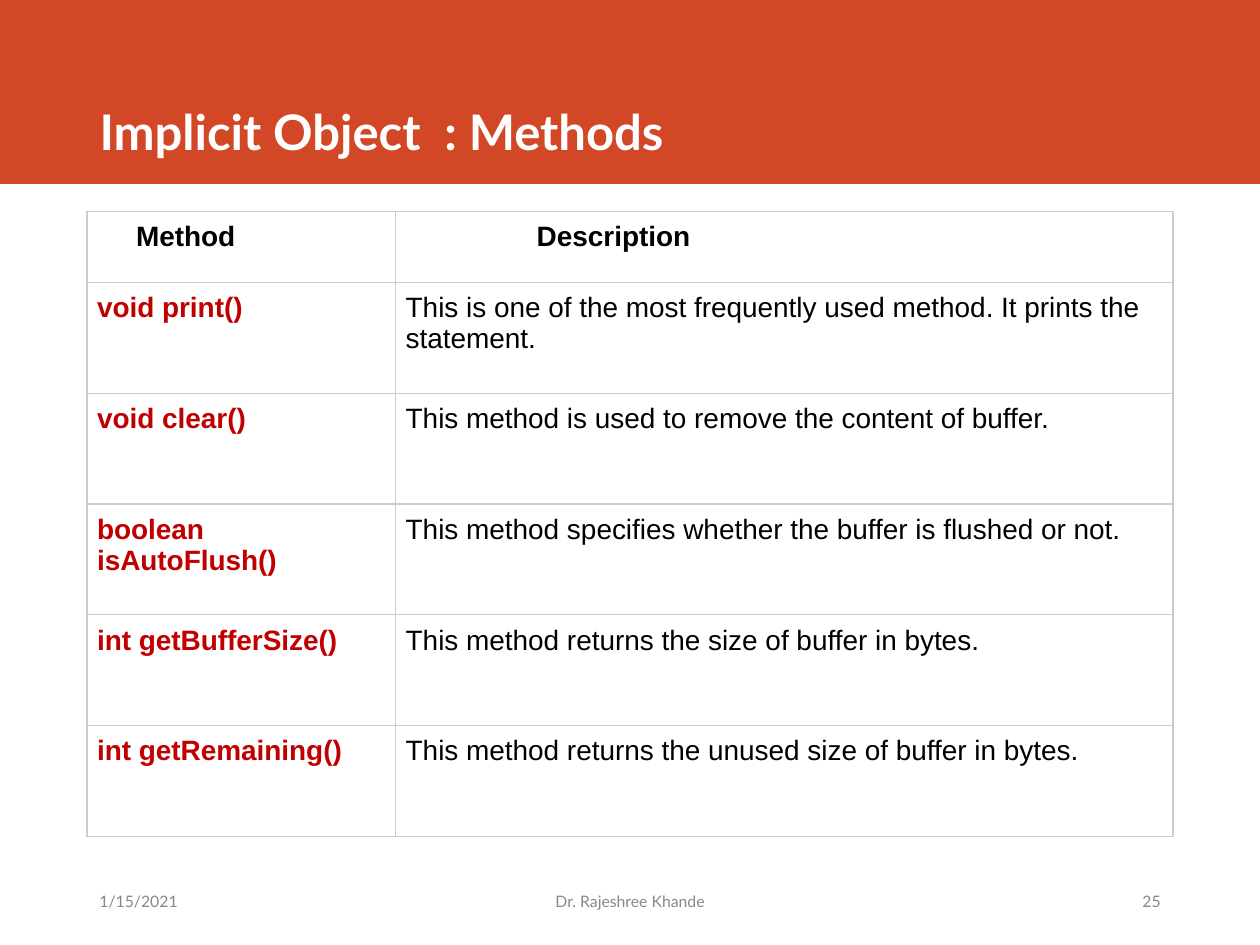
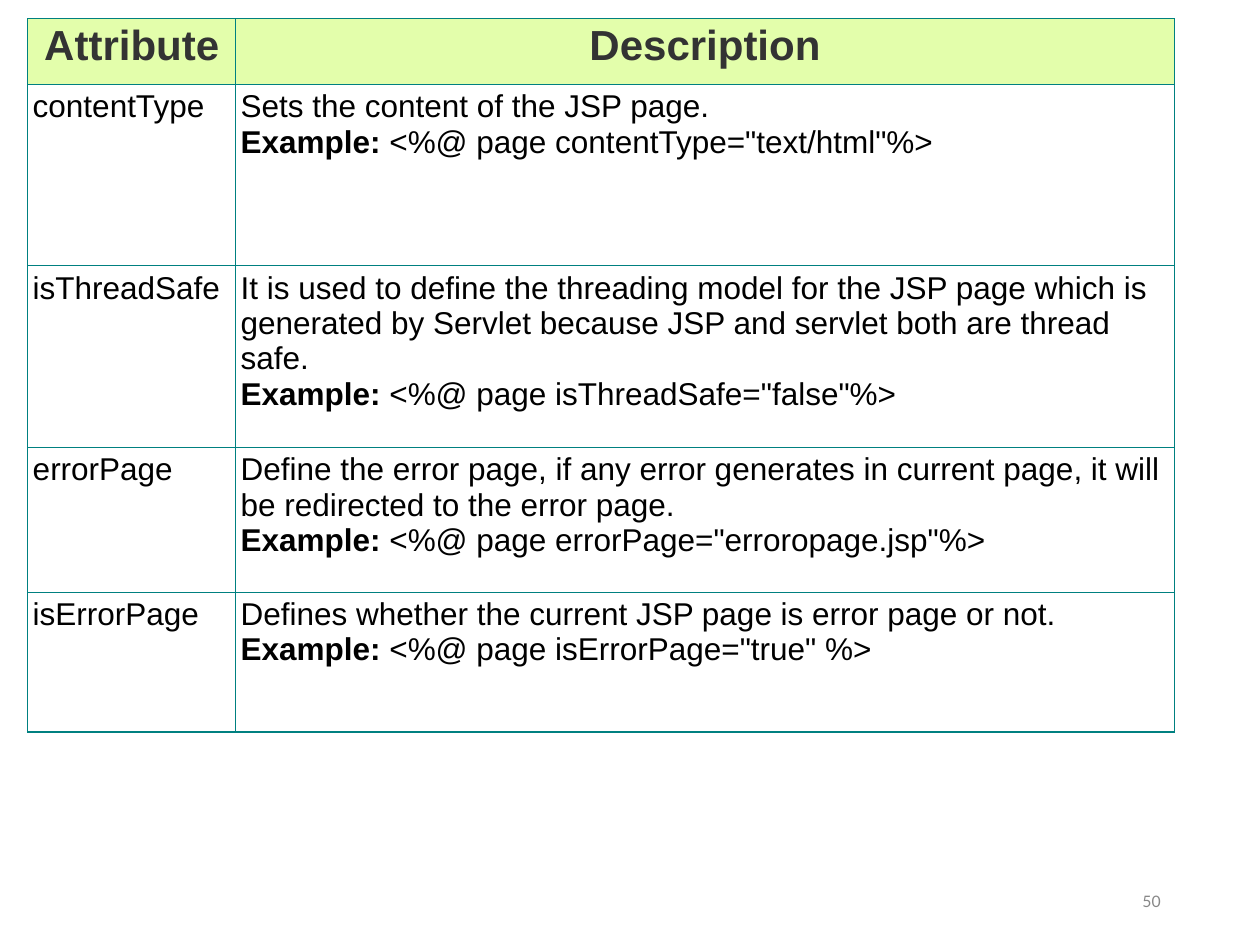
from lxml.etree import SubElement
from pptx import Presentation
from pptx.dml.color import RGBColor
from pptx.enum.shapes import MSO_SHAPE
from pptx.enum.text import MSO_ANCHOR, MSO_AUTO_SIZE, PP_ALIGN
from pptx.oxml import parse_xml
from pptx.oxml.ns import nsdecls, qn
from pptx.util import Inches, Pt

# Shared colours and text styles
WHITE, BLACK, ORANGE = "FFFFFF", "000000", "D24726"
TITLE = {"name": "Lato", "size": Pt(28), "bold": True, "color": WHITE}
FOOTER = {"name": "Lato", "size": Pt(9), "bold": False, "color": "888888"}
PLAIN = {"name": "Arial", "size": Pt(16), "bold": False, "color": BLACK}
STRONG = PLAIN | {"bold": True}
METHOD = STRONG | {"color": "C00000"}
LARGE = PLAIN | {"size": Pt(18)}
HEAD = STRONG | {"size": Pt(24), "color": "333333"}

# Footer slots: left, width, alignment
DATE = (0.69, 2.69, PP_ALIGN.LEFT)
AUTHOR = (3.81, 2.38, PP_ALIGN.CENTER)
NUMBER = (6.62, 2.69, PP_ALIGN.RIGHT)

METHODS = [
    ("void print()", "This is one of the most frequently used method. "
                     "It prints the statement."),
    ("void clear()", "This method is used to remove the content of buffer."),
    ("boolean isAutoFlush()",
     "This method specifies whether the buffer is flushed or not."),
    ("int getBufferSize()", "This method returns the size of buffer in bytes."),
    ("int getRemaining()",
     "This method returns the unused size of buffer in bytes."),
]
# Name, description, example
PAGE_ATTRS = [
    ("contentType", "Sets the content of the JSP page.",
     '<%@ page contentType="text/html"%>'),
    ("isThreadSafe", "It is used to define the threading model for the JSP page "
     "which is generated by Servlet because JSP and servlet both are thread safe.",
     '<%@ page isThreadSafe="false"%>'),
    ("errorPage", "Define the error page, if any error generates in current page, "
     "it will be redirected to the error page.",
     '<%@ page errorPage="erroropage.jsp"%>'),
    ("isErrorPage", "Defines whether the current JSP page is error page or not.",
     '<%@ page isErrorPage="true" %>'),
]


def tint(code):
    return RGBColor.from_string(code)


def style(font, look):
    for key, value in look.items():
        if key == "color":
            font.color.rgb = tint(value)
        else:
            setattr(font, key, value)


def write(para, text, look):
    run = para.add_run()
    run.text = text
    style(run.font, look)


def place(shape, left, top, width, height):
    for key, value in zip(("left", "top", "width", "height"),
                          (left, top, width, height)):
        setattr(shape, key, Inches(value))


def add_band(slide):
    band = slide.shapes.add_shape(MSO_SHAPE.RECTANGLE, 0, 0,
                                  Inches(10), Inches(1.46))
    band.shadow.inherit = False
    band.fill.solid()
    band.fill.fore_color.rgb = tint(ORANGE)
    band.line.fill.background()
    # Send the band behind the title
    slide.shapes._spTree.insert(2, band._element)


def add_title(slide, text):
    title = slide.shapes.title
    place(title, 0.69, 0, 8.63, 1.32)
    frame = title.text_frame
    frame.auto_size = MSO_AUTO_SIZE.NONE
    frame.vertical_anchor = MSO_ANCHOR.BOTTOM
    para = frame.paragraphs[0]
    para.alignment = PP_ALIGN.LEFT
    write(para, text, TITLE)


def add_footer(slide, text, slot):
    left, width, align = slot
    box = slide.shapes.add_textbox(Inches(left), Inches(6.95),
                                   Inches(width), Inches(0.4))
    frame = box.text_frame
    frame.word_wrap = True
    frame.vertical_anchor = MSO_ANCHOR.MIDDLE
    para = frame.paragraphs[0]
    para.alignment = align
    write(para, text, FOOTER)


def add_border(cell, code):
    props = cell._tc.get_or_add_tcPr()
    for spot, side in enumerate(("lnL", "lnR", "lnT", "lnB")):
        line = parse_xml(f'<a:{side} {nsdecls("a")} w="{Pt(0.75)}"/>')
        fill = SubElement(line, qn("a:solidFill"))
        SubElement(fill, qn("a:srgbClr"), val=code)
        props.insert(spot, line)


def add_grid(slide, left, top, cols, rows, edge):
    frame = slide.shapes.add_table(
        len(rows), len(cols), Inches(left), Inches(top),
        Inches(sum(cols)), Inches(sum(rows)))
    grid = frame.table
    grid.first_row = grid.horz_banding = False
    for col, width in zip(grid.columns, cols):
        col.width = Inches(width)
    for row, height in zip(grid.rows, rows):
        row.height = Inches(height)
    for cell in grid.iter_cells():
        add_border(cell, edge)
    return grid


def fill_cell(cell, text, look, inset, fill=WHITE, align=PP_ALIGN.LEFT):
    cell.fill.solid()
    cell.fill.fore_color.rgb = tint(fill)
    for side in ("left", "top", "right", "bottom"):
        setattr(cell, f"margin_{side}", Inches(inset))
    para = cell.text_frame.paragraphs[0]
    para.alignment = align
    write(para, text, look)
    return para


def build_methods(deck):
    slide = deck.slides.add_slide(deck.slide_layouts[5])
    add_band(slide)
    add_title(slide, "Implicit Object  : Methods")
    grid = add_grid(slide, 0.69, 1.68, [2.45, 6.17],
                    [0.56] + [0.88] * len(METHODS), "CCCCCC")
    # Headings are set in from the left edge of their cells
    for col, (text, indent) in enumerate((("Method", 0.39),
                                          ("Description", 1.12))):
        cell = grid.cell(0, col)
        fill_cell(cell, text, STRONG, 0.08)
        cell.margin_left = Inches(indent)
    for row, (name, about) in enumerate(METHODS, 1):
        fill_cell(grid.cell(row, 0), name, METHOD, 0.08)
        fill_cell(grid.cell(row, 1), about, PLAIN, 0.08)
    for text, slot in (("1/15/2021", DATE), ("Dr. Rajeshree Khande", AUTHOR),
                       ("25", NUMBER)):
        add_footer(slide, text, slot)


def build_attrs(deck):
    slide = deck.slides.add_slide(deck.slide_layouts[6])
    add_footer(slide, "50", NUMBER)
    grid = add_grid(slide, 0.22, 0.15, [1.65, 7.45],
                    [0.52, 1.44, 1.44, 1.15, 1.11], "008080")
    for col, text in enumerate(("Attribute", "Description")):
        fill_cell(grid.cell(0, col), text, HEAD, 0.03, "E3FEAB",
                  PP_ALIGN.CENTER)
    for row, (name, about, code) in enumerate(PAGE_ATTRS, 1):
        fill_cell(grid.cell(row, 0), name, LARGE, 0.04)
        para = fill_cell(grid.cell(row, 1), about, LARGE, 0.04)
        para.add_line_break()
        write(para, "Example:", LARGE | {"bold": True})
        write(para, " " + code, LARGE)


def main():
    deck = Presentation()
    deck.slide_width, deck.slide_height = Inches(10), Inches(7.5)
    build_methods(deck)
    build_attrs(deck)
    deck.save("out.pptx")


if __name__ == "__main__":
    main()
